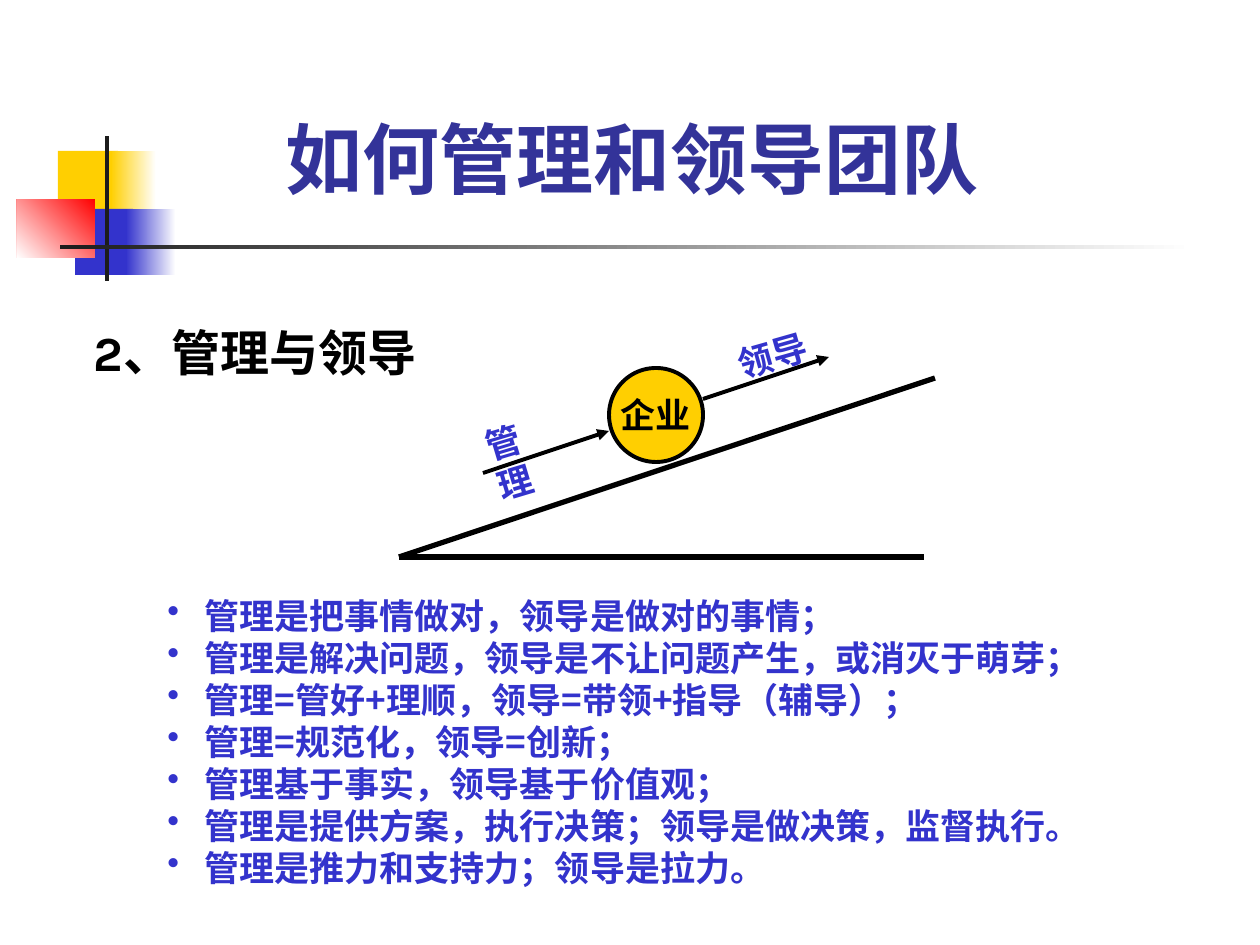
from lxml import etree
from pptx import Presentation
from pptx.dml.color import RGBColor
from pptx.enum.shapes import MSO_CONNECTOR, MSO_SHAPE
from pptx.enum.text import MSO_ANCHOR, PP_ALIGN
from pptx.oxml.ns import qn
from pptx.util import Emu, Pt

LINE, RECT, OVAL = MSO_CONNECTOR.STRAIGHT, MSO_SHAPE.RECTANGLE, MSO_SHAPE.OVAL
MIDDLE, CENTER = MSO_ANCHOR.MIDDLE, PP_ALIGN.CENTER
PX = 914400 / 126
LATIN, CJK = "Karla", "Noto Sans CJK SC"
COLORS = {
    "yellow": "FFCF01", "blue": "3333CC", "red": "FF0000", "white": "FFFFFF",
    "dark": "1C1C1C", "black": "000000", "title": "333399",
}
# box, start colour, end colour (None for a plain fill), gradient angle
DECORATION = [
    ((58, 151, 60, 66), "yellow", None, 0),
    ((111, 151, 45, 66), "white", "yellow", 180),
    ((75, 209, 58, 66), "blue", None, 0),
    ((126, 209, 50, 66), "white", "blue", 180),
    ((17, 199, 78, 59), "red", "white", 225),
    ((105, 136, 4, 145), "dark", None, 0),
    ((60, 245, 1134, 4), "white", "dark", 180),
]
POINTS = [
    "管理是把事情做对，领导是做对的事情；",
    "管理是解决问题，领导是不让问题产生，或消灭于萌芽；",
    "管理=管好+理顺，领导=带领+指导（辅导）；",
    "管理=规范化，领导=创新；",
    "管理基于事实，领导基于价值观；",
    "管理是提供方案，执行决策；领导是做决策，监督执行。",
    "管理是推力和支持力；领导是拉力。",
]


def px(*lengths):
    return [Emu(round(length * PX)) for length in lengths]


def rgb(name):
    return RGBColor.from_string(COLORS[name])


def add_run(paragraph, text, size, color, font=LATIN):
    run = paragraph.add_run()
    run.text = text
    run.font.size = Pt(size)
    run.font.bold = True
    run.font.color.rgb = rgb(color)
    run.font.name = font
    etree.SubElement(run.font._element, qn("a:ea"), typeface=CJK)


def add_block(slide, box, start, end, angle):
    block = slide.shapes.add_shape(RECT, *px(*box))
    block.shadow.inherit = False
    block.line.fill.background()
    if end is None:
        block.fill.solid()
        block.fill.fore_color.rgb = rgb(start)
        return
    block.fill.gradient()
    block.fill.gradient_angle = angle
    for stop, color in zip(block.fill.gradient_stops, (start, end)):
        stop.color.rgb = rgb(color)


def add_line(slide, start, end, width, arrow=False):
    line = slide.shapes.add_connector(LINE, *px(*start, *end))
    line.line.width = Pt(width)
    line.line.color.rgb = rgb("black")
    if arrow:
        etree.SubElement(line.line._get_or_add_ln(), qn("a:tailEnd"), type="triangle")
    etree.SubElement(line._element.spPr, qn("a:effectLst"))


def add_text(slide, box, runs, rotation=0, wrap=True):
    label = slide.shapes.add_textbox(*px(*box))
    label.rotation = rotation
    label.text_frame.word_wrap = wrap
    for run in runs:
        add_run(label.text_frame.paragraphs[0], *run)


def add_ball(slide, box, text):
    ball = slide.shapes.add_shape(OVAL, *px(*box))
    ball.shadow.inherit = False
    ball.fill.solid()
    ball.fill.fore_color.rgb = rgb("yellow")
    ball.line.color.rgb = rgb("black")
    ball.line.width = Pt(2.25)
    frame = ball.text_frame
    frame.word_wrap = False
    frame.vertical_anchor = MIDDLE
    frame.paragraphs[0].alignment = CENTER
    add_run(frame.paragraphs[0], text, 20, "black")


def add_bullets(slide, box, points, indent):
    frame = slide.shapes.add_textbox(*px(*box)).text_frame
    frame.word_wrap = True
    hang = px(indent)[0]
    for index, point in enumerate(points):
        paragraph = frame.add_paragraph() if index else frame.paragraphs[0]
        properties = paragraph._p.get_or_add_pPr()
        properties.set("marL", str(hang))
        properties.set("indent", str(-hang))
        bullet_color = etree.SubElement(properties, qn("a:buClr"))
        etree.SubElement(bullet_color, qn("a:srgbClr"), val=COLORS["blue"])
        etree.SubElement(properties, qn("a:buChar"), char="•")
        add_run(paragraph, point, 20, "blue", CJK)


def main():
    deck = Presentation()
    deck.slide_width, deck.slide_height = px(1260, 945)
    slide = deck.slides.add_slide(deck.slide_layouts[6])

    for block in DECORATION:
        add_block(slide, *block)
    add_text(slide, (273, 105, 777, 106), [("如何管理和领导团队", 44, "title")])
    add_text(slide, (81, 316, 359, 72),
             [("2、", 28, "black"), ("管理与领导", 28, "black", CJK)])

    slope_foot = (399, 557)
    add_line(slide, slope_foot, (924, 557), 3)
    add_line(slide, slope_foot, (935, 378), 3)
    add_ball(slide, (609, 368, 94, 94), "企业")
    add_line(slide, (483, 473), (609, 431), 2.25, arrow=True)
    add_line(slide, (703, 399), (829, 357), 2.25, arrow=True)
    add_text(slide, (473, 410, 94, 55), [("管理", 20, "blue")], 343.2, wrap=False)
    add_text(slide, (725, 325, 116, 55), [("领导", 20, "blue")], 344.2)

    add_bullets(slide, (155, 588, 940, 307), POINTS, 37)
    deck.save("out.pptx")


if __name__ == "__main__":
    main()
